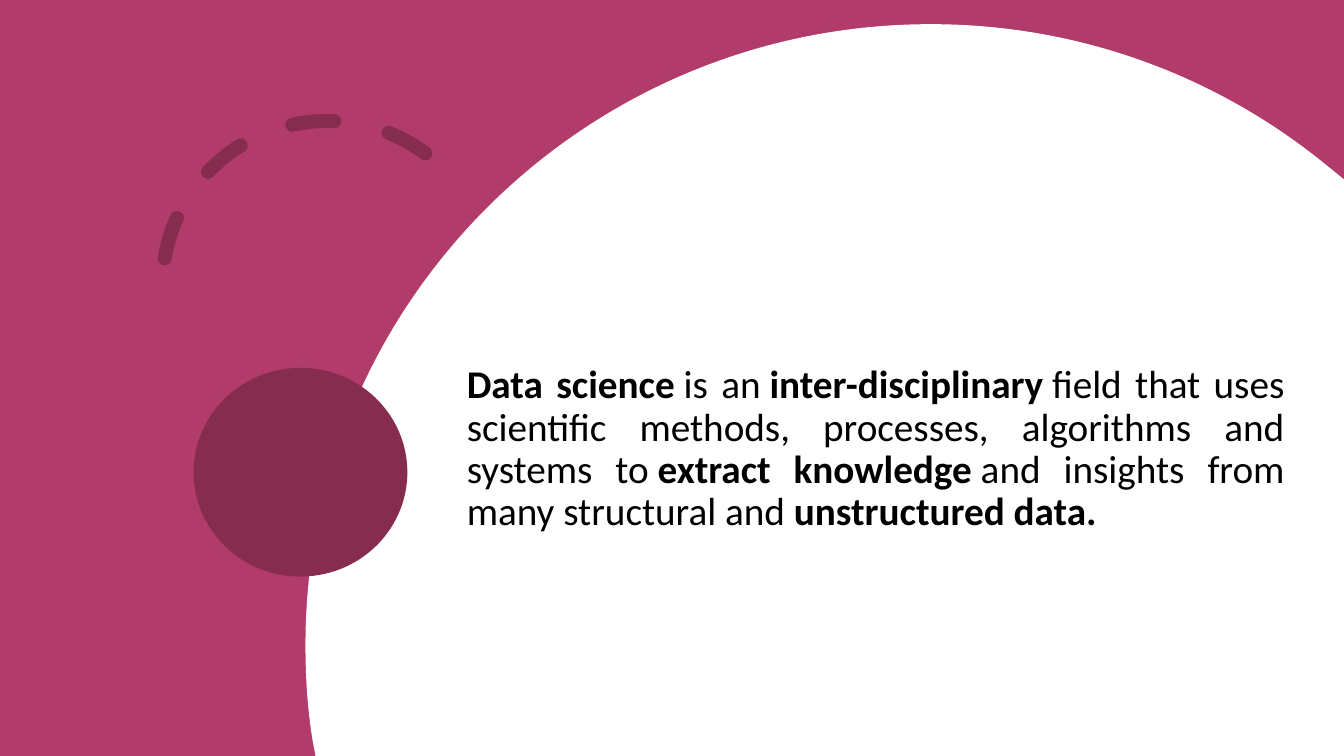
from dataclasses import dataclass

from lxml import etree
from pptx import Presentation
from pptx.dml.color import RGBColor
from pptx.enum.dml import MSO_LINE
from pptx.enum.shapes import MSO_SHAPE as SHAPE
from pptx.enum.text import MSO_ANCHOR as ANCHOR, MSO_AUTO_SIZE as AUTO, PP_ALIGN as ALIGN
from pptx.oxml.ns import qn
from pptx.util import Inches, Pt

WIDTH, HEIGHT = 13.33, 7.5
NBSP = chr(160)  # no-break space, which justified lines do not stretch


@dataclass(frozen=True)
class Theme:
    rose: RGBColor = RGBColor(0xB1, 0x3B, 0x6A)
    plum: RGBColor = RGBColor(0x85, 0x2C, 0x4F)
    white: RGBColor = RGBColor(0xFF, 0xFF, 0xFF)
    ink: RGBColor = RGBColor(0, 0, 0)
    font: str = "Calibri"
    title_size: int = 28
    dash_width: int = 10


class SlideBuilder:
    def __init__(self, s, theme):
        self.s = s
        self.theme = theme

    def fill(self, sp, color):
        sp.shadow.inherit = False
        sp.fill.solid()
        sp.fill.fore_color.rgb = color
        sp.line.fill.background()

    def shape(self, kind, box, color):
        sp = self.s.shapes.add_shape(kind, *map(Inches, box))
        self.fill(sp, color)

    def curved_shape(self, start, segments, color):
        """Each segment is its end point, preceded by two control points if it curves."""
        builder = self.s.shapes.build_freeform(*map(Inches, start))
        builder.add_line_segments([tuple(map(Inches, seg[-1])) for seg in segments], close=True)
        sp = builder.convert_to_shape()
        lines = list(sp._element.iter(qn("a:lnTo")))
        for line, seg in zip(lines, segments):
            if len(seg) == 1:
                continue
            curve = etree.Element(qn("a:cubicBezTo"))
            for x, y in seg:
                etree.SubElement(curve, qn("a:pt"), x=str(Inches(x) - sp.left),
                                 y=str(Inches(y) - sp.top))
            line.getparent().replace(line, curve)
        self.fill(sp, color)

    def dashed_arc(self, box, start, end, rotation, color):
        sp = self.s.shapes.add_shape(SHAPE.ARC, *map(Inches, box))
        sp.shadow.inherit = False
        # One degree is 60000 file units; adjustments count in 100000.
        for i, angle in enumerate((start, end)):
            sp.adjustments[i] = angle * 0.6
        sp.rotation = rotation
        sp.fill.background()
        sp.line.color.rgb = color
        sp.line.width = Pt(self.theme.dash_width)
        sp.line.dash_style = MSO_LINE.DASH
        sp.line._get_or_add_ln().set("cap", "rnd")

    def title(self, box, parts):
        """Fill the title with (text, bold) parts and bring it to the front."""
        sp = self.s.shapes.title
        sp.left, sp.top, sp.width, sp.height = map(Inches, box)
        self.s.shapes._spTree.append(sp._element)
        tf = sp.text_frame
        tf.word_wrap = True
        tf.auto_size = AUTO.NONE
        tf.vertical_anchor = ANCHOR.BOTTOM
        p = tf.paragraphs[0]
        p.alignment = ALIGN.JUSTIFY
        p.line_spacing = 0.9
        for text, bold in parts:
            r = p.add_run()
            r.text = text
            r.font.name = self.theme.font
            r.font.size = Pt(self.theme.title_size)
            r.font.bold = bold
            r.font.color.rgb = self.theme.ink


def main():
    prs = Presentation()
    prs.slide_width, prs.slide_height = Inches(WIDTH), Inches(HEIGHT)
    theme = Theme()
    slide = SlideBuilder(prs.slides.add_slide(prs.slide_layouts[5]), theme)

    slide.shape(SHAPE.RECTANGLE, (0, 0, WIDTH, HEIGHT), theme.rose)
    slide.curved_shape((9.23, 0.24), [
        [(10.73, 0.24), (12.1, 0.77), (13.17, 1.65)],
        [(WIDTH, 1.78)],
        [(WIDTH, HEIGHT)],
        [(3.13, HEIGHT)],
        [(3.1, 7.34)],
        [(3.05, 7.03), (3.03, 6.72), (3.03, 6.4)],
        [(3.03, 3), (5.81, 0.24), (9.23, 0.24)],
    ], theme.white)
    slide.title((4.53, 2.67, 8.31, 2.68), [
        ("Data science", True),
        (f"{NBSP}is an{NBSP}", False),
        ("inter-disciplinary", True),
        (f"{NBSP}field that uses scientific methods, processes, algorithms "
         f"and systems to{NBSP}", False),
        ("extract knowledge", True),
        (f"{NBSP}and insights from many structural and{NBSP}", False),
        ("unstructured data.", True),
    ])
    slide.shape(SHAPE.OVAL, (1.92, 3.65, 2.12, 2.07), theme.plum)
    slide.dashed_arc((1.61, 1.2, 3.27, 3.27), 240.92, 3.8, 308.7, theme.plum)

    prs.save("out.pptx")


if __name__ == "__main__":
    main()
